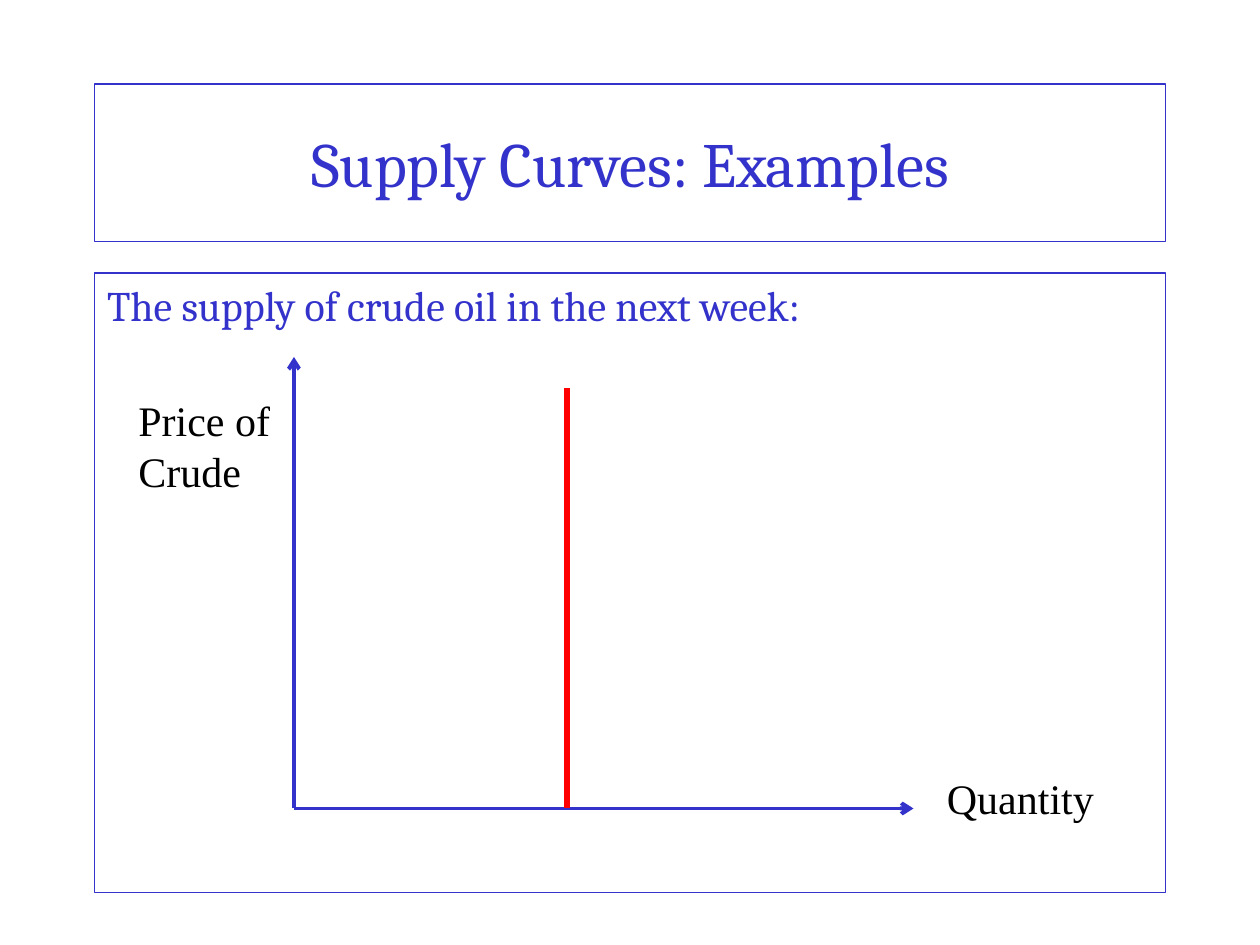
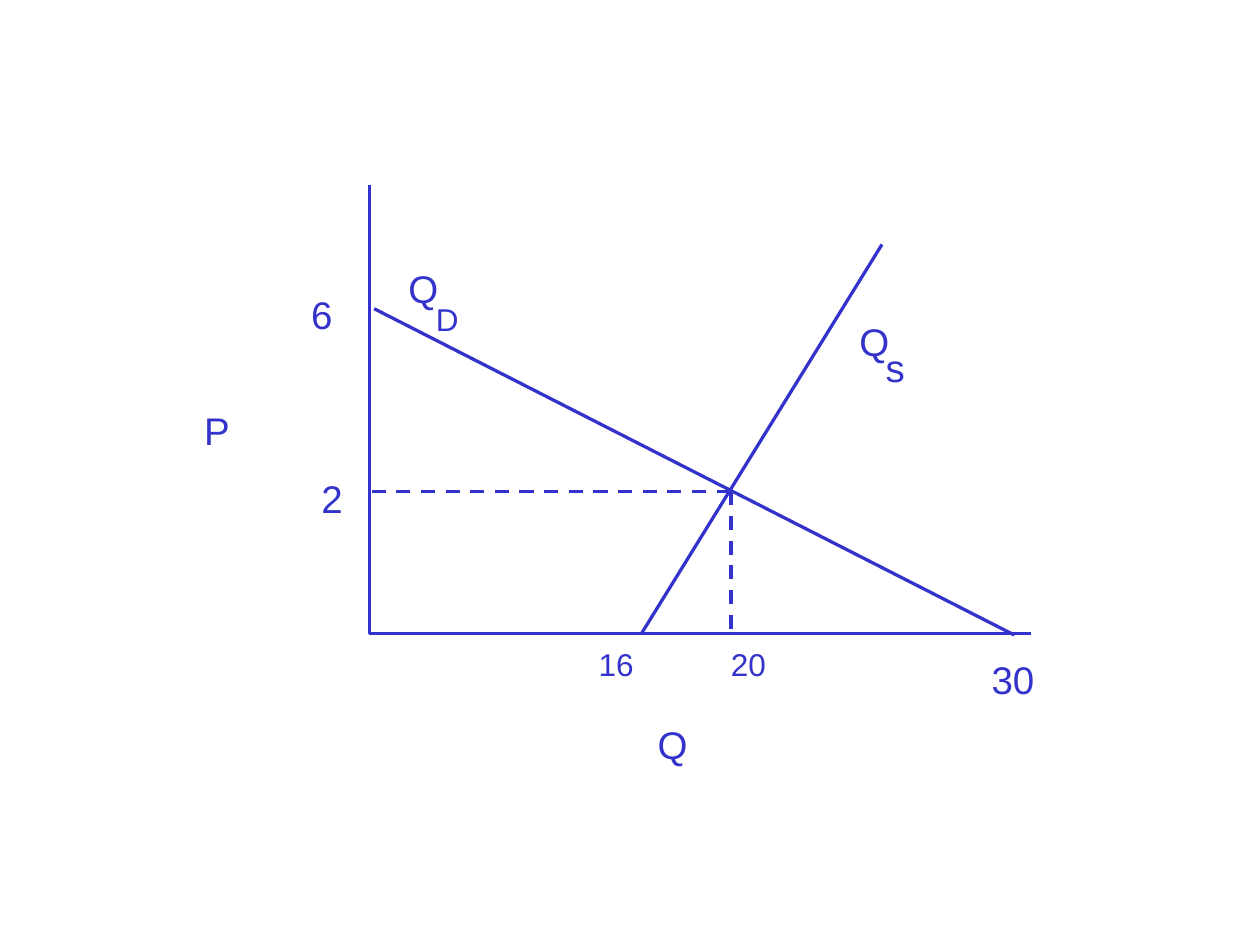
from lxml import etree
from pptx import Presentation, util as u
from pptx.dml.color import RGBColor
from pptx.enum import dml, shapes, text
from pptx.oxml.ns import qn

BLUE = RGBColor(0x33, 0x33, 0xCC)
RED = RGBColor(0xFF, 0x00, 0x00)
BLACK = RGBColor(0x00, 0x00, 0x00)

WIDTH, HEIGHT = u.Inches(10), u.Inches(7.5)
COLUMNS = 120
CELL = WIDTH / COLUMNS

FRAME_LEFT, FRAME_WIDTH = 9, 102
TITLE_TOP, TITLE_HEIGHT = 8, 15
BODY_TOP, BODY_HEIGHT = 26, 59

TITLE_FONT = dict(name="Cambria", size=u.Pt(36), bold=False)
BODY_FONT = dict(name="Cambria", size=u.Pt(24), bold=False)
NOTE_FONT = dict(name="Times New Roman", size=u.Pt(24))

OIL_TITLE = "Supply Curves: Examples"
OIL_BODY = "The supply of crude oil in the next week:"
OIL_ORIGIN = (28, 77)
AXIS = dict(color=BLUE, width=2.25, arrow=True)
OIL_LINES = [
    (OIL_ORIGIN, (28, 34), AXIS),
    (OIL_ORIGIN, (87, 77), AXIS),
    ((54, 37), (54, 77), dict(color=RED, width=3)),
]
OIL_NOTES = [
    ("Quantity", (89, 73, 21, 6)),
    ("Price of Crude", (12, 37, 23, 10.8)),
]

AXIS_X, AXIS_Y = 35.16, 60.36
MARKET_X, MARKET_Y = 69.6, 46.8
SOLID = dict(color=BLUE, width=1.87)
DASHED = dict(color=BLUE, width=0, dash=True)
MARKET_LINES = [
    ((AXIS_X, 17.64), (AXIS_X, AXIS_Y), SOLID),
    ((AXIS_X, AXIS_Y), (98.16, AXIS_Y), SOLID),
    ((61.08, AXIS_Y), (84, 23.28), SOLID),
    ((35.64, 29.4), (96.6, 60.48), SOLID),
    ((MARKET_X, MARKET_Y), (AXIS_X, MARKET_Y), DASHED),
    ((MARKET_X, MARKET_Y), (MARKET_X, AXIS_Y), DASHED),
]
LARGE, SMALL = 22, 18
TICK_TOP = 61.44
MARKET_LABELS = [
    ("P", 19.44, 38.76, LARGE),
    ("Q", 62.64, 68.64, LARGE),
    ("16", 57, TICK_TOP, SMALL),
    ("20", 69.6, TICK_TOP, SMALL),
    ("30", 94.44, 62.52, LARGE),
    ("6", 29.64, 27.72, LARGE),
    ("2", 30.6, 45.24, LARGE),
    ("Q", 81.84, 30.24, LARGE),
    ("s", 84.36, 32.76, LARGE),
    ("Q", 38.88, 25.2, LARGE),
    ("D", 41.52, 28.56, SMALL),
]
LETTER_WIDTHS = dict(P=0.67, Q=0.78, D=0.72, s=0.5)
DIGIT_WIDTH = 0.56
LINE_HEIGHT = 1.2


def grid(*cells):
    return [round(cell * CELL) for cell in cells]


def apply(target, values):
    for name, value in values.items():
        setattr(target, name, value)


def write(box, words, font, color):
    box.text_frame.text = words
    para = box.text_frame.paragraphs[0]
    span = para.runs[0]
    apply(span.font, font)
    span.font.color.rgb = color
    return para


def fill_frame(box, words, font, top, height, anchor):
    places = grid(FRAME_LEFT, top, FRAME_WIDTH, height)
    apply(box, dict(zip(("left", "top", "width", "height"), places)))
    box.line.color.rgb = BLUE
    box.line.width = u.Pt(0.75)
    apply(box.text_frame, dict(auto_size=text.MSO_AUTO_SIZE.NONE,
                               vertical_anchor=anchor))
    para = write(box, words, font, BLUE)
    para.space_before = u.Pt(0)
    return para


def draw_line(page, start, end, color, width, arrow=False, dash=False):
    line = page.shapes.add_connector(shapes.MSO_CONNECTOR.STRAIGHT,
                                     *grid(*start, *end))
    line.line.color.rgb = color
    line.line.width = u.Pt(width)
    if dash:
        line.line.dash_style = dml.MSO_LINE.DASH
    properties = line._element.spPr
    if arrow:
        outline = properties.find(qn("a:ln"))
        etree.SubElement(outline, qn("a:tailEnd"), type="arrow")
    etree.SubElement(properties, qn("a:effectLst"))


def draw_lines(page, lines):
    for start, end, style in lines:
        draw_line(page, start, end, **style)


def add_note(page, words, place):
    box = page.shapes.add_textbox(*grid(*place))
    box.text_frame.word_wrap = True
    write(box, words, NOTE_FONT, BLACK)


def add_label(page, words, left, top, size):
    width = sum(LETTER_WIDTHS.get(letter, DIGIT_WIDTH) for letter in words)
    box = page.shapes.add_textbox(*grid(left, top), u.Pt(width * size),
                                  u.Pt(LINE_HEIGHT * size))
    apply(box.text_frame, dict(margin_left=0, margin_right=0, margin_top=0,
                               margin_bottom=0, word_wrap=False))
    write(box, words, dict(name="Arial", size=u.Pt(size)), BLUE)


def build_oil_page(deck):
    page = deck.slides.add_slide(deck.slide_layouts[1])
    title, body = page.placeholders
    heading = fill_frame(title, OIL_TITLE, TITLE_FONT, TITLE_TOP, TITLE_HEIGHT,
                         text.MSO_ANCHOR.MIDDLE)
    heading.alignment = text.PP_ALIGN.CENTER
    para = fill_frame(body, OIL_BODY, BODY_FONT, BODY_TOP, BODY_HEIGHT,
                      text.MSO_ANCHOR.TOP)
    settings = para._p.get_or_add_pPr()
    settings.set("marL", "0")
    settings.set("indent", "0")
    etree.SubElement(settings, qn("a:buNone"))
    draw_lines(page, OIL_LINES)
    for words, place in OIL_NOTES:
        add_note(page, words, place)


def build_market_page(deck):
    page = deck.slides.add_slide(deck.slide_layouts[6])
    draw_lines(page, MARKET_LINES)
    for label in MARKET_LABELS:
        add_label(page, *label)


def main():
    deck = Presentation()
    apply(deck, dict(slide_width=WIDTH, slide_height=HEIGHT))
    build_oil_page(deck)
    build_market_page(deck)
    deck.save("out.pptx")


if __name__ == "__main__":
    main()
